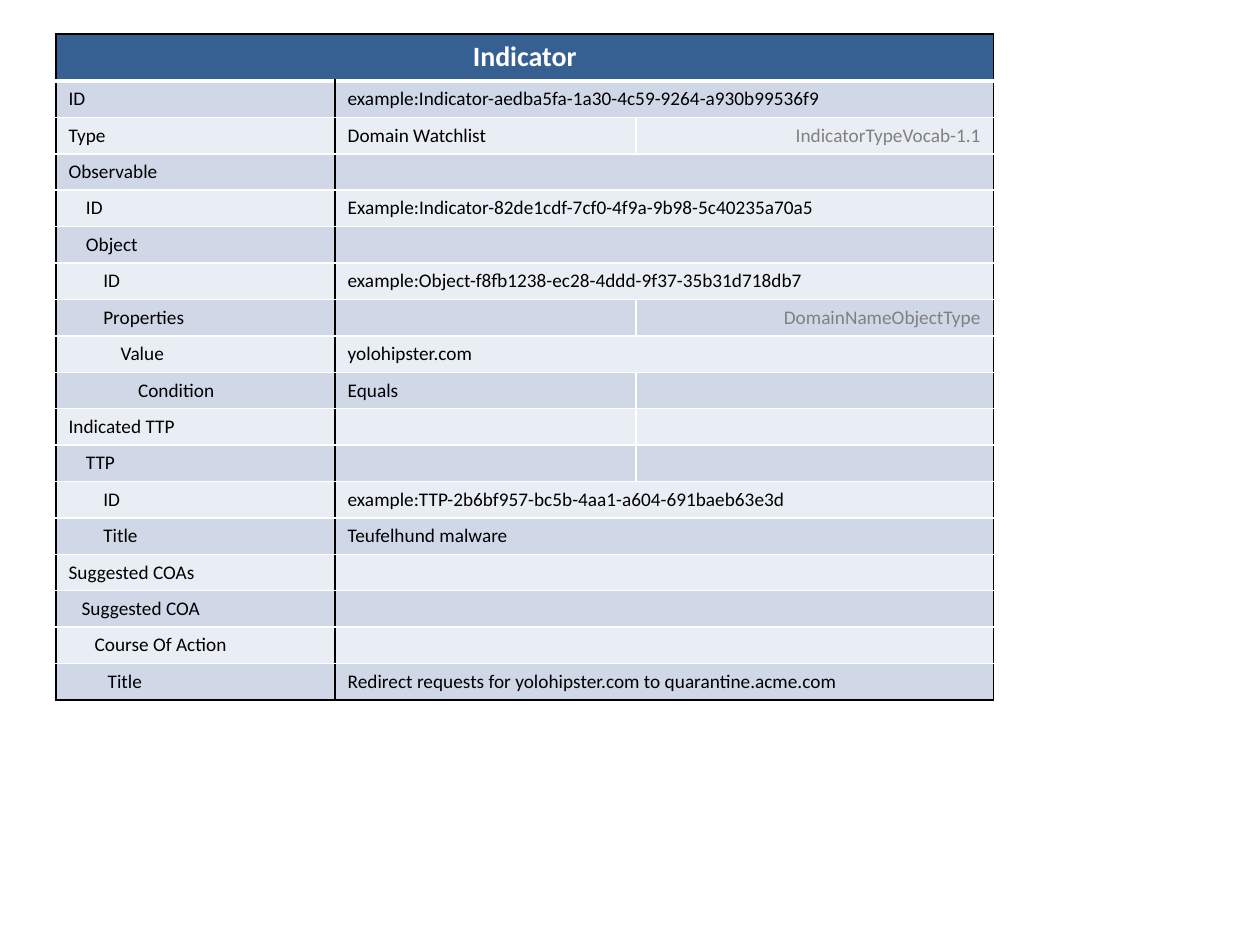
"""Build the Indicator table slide."""
from dataclasses import dataclass
from typing import Optional

from lxml import etree
from pptx import Presentation
from pptx import util as u
from pptx.dml import color
from pptx.enum import text
from pptx.oxml import ns


@dataclass(frozen=True)
class Theme:
    font: str = "Calibri"
    title_size: float = 16
    body_size: float = 11
    header: str = "376092"
    bands: tuple = ("D0D8E8", "E9EDF4")
    black: str = "000000"
    white: str = "FFFFFF"
    grey: str = "808080"


@dataclass(frozen=True)
class Row:
    label: str
    value: str = ""
    indent: float = 0
    note: str = ""
    split: bool = False


THEME = Theme()
STEP, SMALL_STEP = 9.92, 7.44
CELL_MARGIN = 7.2
COLUMN_WIDTHS = (159.5, 172, 204.2)
HEADER_HEIGHT, ROW_HEIGHT = 26.9, 20.8
LEFT, TOP = 32, 19.4
BLACK_LINE, WHITE_LINE = (THEME.black, 1), (THEME.white, 1)

ROWS = (
    Row("ID", "example:Indicator-aedba5fa-1a30-4c59-9264-a930b99536f9"),
    Row("Type", "Domain Watchlist", note="IndicatorTypeVocab-1.1", split=True),
    Row("Observable"),
    Row("ID", "Example:Indicator-82de1cdf-7cf0-4f9a-9b98-5c40235a70a5", STEP),
    Row("Object", indent=STEP),
    Row("ID", "example:Object-f8fb1238-ec28-4ddd-9f37-35b31d718db7", 2 * STEP),
    Row("Properties", indent=2 * STEP, note="DomainNameObjectType", split=True),
    Row("Value", "yolohipster.com", 3 * STEP),
    Row("Condition", "Equals", 4 * STEP, split=True),
    Row("Indicated TTP", split=True),
    Row("TTP", indent=STEP, split=True),
    Row("ID", "example:TTP-2b6bf957-bc5b-4aa1-a604-691baeb63e3d", 2 * STEP),
    Row("Title", "Teufelhund malware", 2 * STEP),
    Row("Suggested COAs"),
    Row("Suggested COA", indent=SMALL_STEP),
    Row("Course Of Action", indent=2 * SMALL_STEP),
    Row("Title", "Redirect requests for yolohipster.com to quarantine.acme.com", 3 * SMALL_STEP),
)


def set_borders(cell, borders: dict) -> None:
    """Draw the given sides (L, R, T, B) of a cell."""
    properties = cell._tc.get_or_add_tcPr()
    for side in "LRTB":
        if side in borders:
            line_color, width = borders[side]
            line = etree.SubElement(properties, ns.qn(f"a:ln{side}"), w=str(int(u.Pt(width))))
            fill = etree.SubElement(line, ns.qn("a:solidFill"))
            etree.SubElement(fill, ns.qn("a:srgbClr"), val=line_color)


def write_cell(cell, content: str, fill: str, borders: dict, font_color: str = THEME.black,
               size: float = THEME.body_size, bold: bool = False, indent: float = 0,
               alignment: Optional[text.PP_ALIGN] = None) -> None:
    """Fill, border and label one cell."""
    set_borders(cell, borders)
    cell.fill.solid()
    cell.fill.fore_color.rgb = color.RGBColor.from_string(fill)
    cell.margin_left = u.Pt(CELL_MARGIN + indent)
    paragraph = cell.text_frame.paragraphs[0]
    paragraph.alignment = alignment
    if not content:
        etree.SubElement(paragraph._p, ns.qn("a:endParaRPr"), sz=str(int(size * 100)))
        return
    run = paragraph.add_run()
    run.text = content
    for name, value in {"name": THEME.font, "size": u.Pt(size), "bold": bold}.items():
        setattr(run.font, name, value)
    run.font.color.rgb = color.RGBColor.from_string(font_color)


def write_header(table) -> None:
    """Write the title across the whole first row."""
    table.cell(0, 0).merge(table.cell(0, 2))
    borders = {"L": BLACK_LINE, "R": BLACK_LINE, "T": BLACK_LINE, "B": (THEME.white, 3)}
    for column in range(3):
        write_cell(table.cell(0, column), "" if column else "Indicator", THEME.header, borders,
                   THEME.white, THEME.title_size, True, alignment=text.PP_ALIGN.CENTER)


def write_row(table, index: int, row: Row) -> None:
    """Write one field of the indicator."""
    label, value, note = (table.cell(index, column) for column in range(3))
    fill = THEME.bands[(index - 1) % 2]
    bottom = {"B": BLACK_LINE} if index == len(ROWS) else {}
    top = {"T": WHITE_LINE} if index == 1 else {}
    outer = {"R": BLACK_LINE, **top, **bottom}
    inner = {"L": BLACK_LINE, **top, **bottom}
    if not row.split:
        value.merge(note)
        inner = outer = {**inner, **outer}
    label_borders = {"L": BLACK_LINE, "R": BLACK_LINE, "T": WHITE_LINE, "B": WHITE_LINE, **bottom}
    write_cell(label, row.label, fill, label_borders, indent=row.indent)
    write_cell(value, row.value, fill, inner)
    write_cell(note, row.note, fill, outer, THEME.grey,
               alignment=text.PP_ALIGN.RIGHT if row.note else None)


def main() -> None:
    """Create and save the presentation."""
    presentation = Presentation()
    presentation.slide_width, presentation.slide_height = u.Pt(720), u.Pt(540)
    slide = presentation.slides.add_slide(presentation.slide_layouts[6])
    heights = [HEADER_HEIGHT] + [ROW_HEIGHT] * len(ROWS)
    table = slide.shapes.add_table(len(heights), len(COLUMN_WIDTHS), u.Pt(LEFT), u.Pt(TOP),
                                   u.Pt(sum(COLUMN_WIDTHS)), u.Pt(sum(heights))).table
    for column, width in zip(table.columns, COLUMN_WIDTHS):
        column.width = u.Pt(width)
    for table_row, height in zip(table.rows, heights):
        table_row.height = u.Pt(height)
    write_header(table)
    for index, row in enumerate(ROWS, 1):
        write_row(table, index, row)
    presentation.save("out.pptx")


if __name__ == "__main__":
    main()
